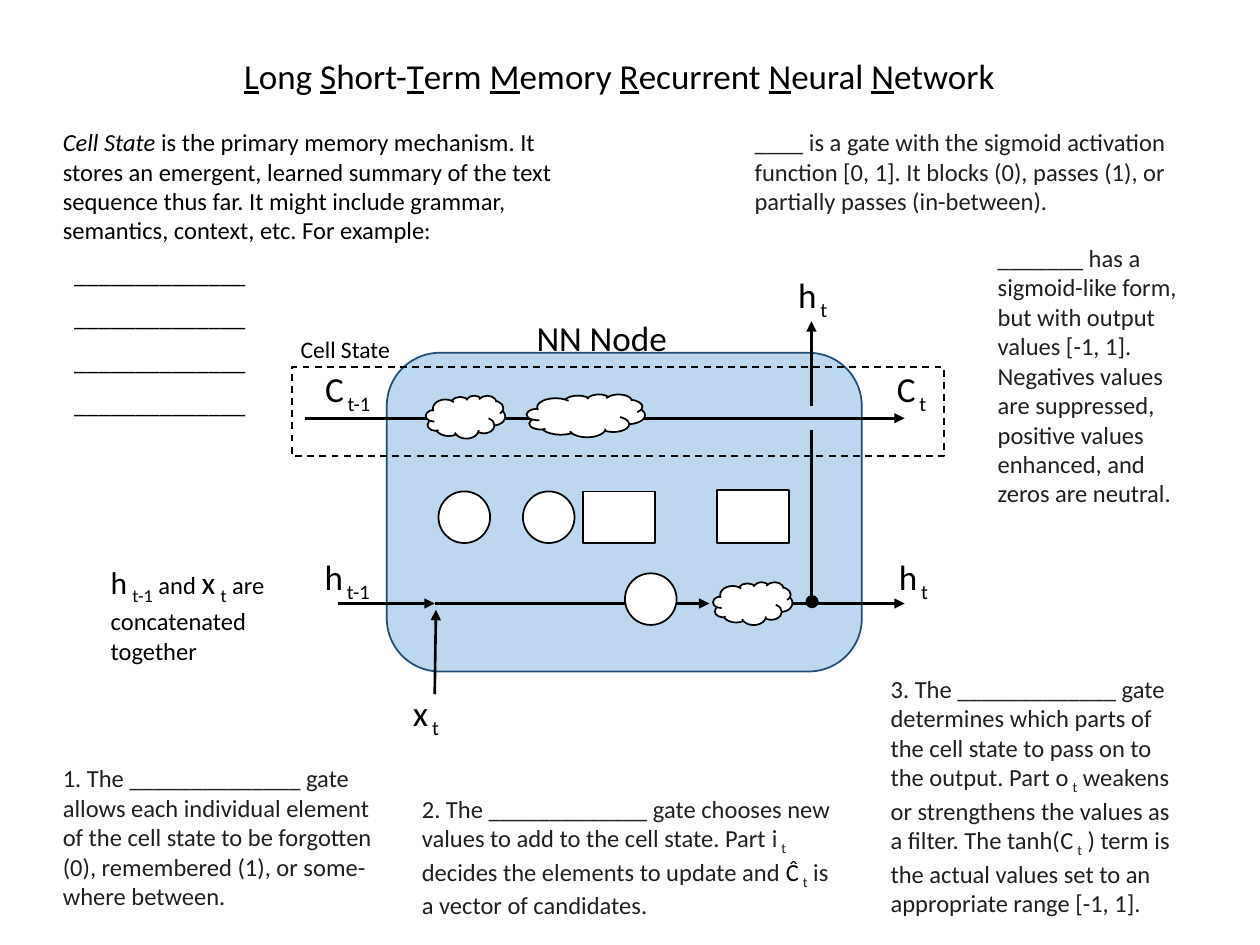
from dataclasses import dataclass

from lxml.etree import SubElement
from pptx import Presentation
from pptx.dml.color import RGBColor
from pptx.enum.dml import MSO_LINE
from pptx.enum.shapes import MSO_CONNECTOR, MSO_SHAPE
from pptx.enum.text import MSO_AUTO_SIZE, PP_ALIGN
from pptx.oxml.ns import qn
from pptx.util import Inches, Pt


@dataclass(frozen=True)
class Theme:
    font: str = "Calibri"
    black: str = "000000"
    note: str = "1F1F1F"
    white: str = "FFFFFF"
    node: str = "BDD7EE"
    node_edge: str = "1F4E79"
    title_size: float = 20
    symbol_size: float = 20.1
    inline_size: float = 18
    body_size: float = 14
    caption_size: float = 13.5
    thin: float = 1
    thick: float = 1.5


THEME = Theme()

# Span formats
UNDERLINE = {"underline": True}
ITALIC = {"italic": True}
SYMBOL = {"spacing": 2.2}
SUB = {"baseline": -25}
LARGE = {"size": THEME.inline_size, "spacing": 3}
LARGE_SUB = {"size": THEME.inline_size, "baseline": -25}

# Content: a paragraph is a list of (text, span format)
TITLE_WORDS = ["Long ", "Short-", "Term ", "Memory ", "Recurrent ", "Neural ", "Network"]
CELL_STATE = [
    ("Cell State", ITALIC),
    (" is the primary memory mechanism. It stores an emergent, learned summary of the text "
     "sequence thus far. It might include grammar, semantics, context, etc. For example:", {}),
]
BLANK_LINE = [("______________", {})]
BLANK_COUNT = 4
CONCATENATION = [
    ("h", LARGE), ("t-1", LARGE_SUB), (" and ", {}), ("x", LARGE), ("t", LARGE_SUB),
    (" are concatenated together", {}),
]

# Notes: left, top, width, height, spans
NOTES = [
    (5.89, 0.96, 3.59, 0.81, [
        ("____ is a gate with the sigmoid activation function [0, 1]. It blocks (0), "
         "passes (1), or partially passes (in-between).", {})]),
    (7.82, 1.88, 1.63, 2.22, [
        ("_______ has a sigmoid-like form, but with output values [-1, 1]. Negatives values "
         "are suppressed, positive values enhanced, and zeros are neutral.", {})]),
    (0.4, 6.01, 2.82, 1.28, [
        ("1. The ______________ gate allows each individual element of the cell state to be "
         "forgotten (0), remembered (1), or some-where between.", {})]),
    (3.25, 6.25, 3.56, 1.04, [
        ("2. The _____________ gate chooses new values to add to the cell state. Part ", {}),
        ("i", SYMBOL), ("t", SUB), (" decides the elements to update and ", {}),
        ("Ĉ", {"spacing": 2.2, "color": THEME.black}), ("t", SUB),
        (" is a vector of candidates.", {})]),
    (6.97, 5.3, 2.51, 1.99, [
        ("3. The _____________ gate determines which parts of the cell state to pass on to "
         "the output. Part ", {}),
        ("o", SYMBOL), ("t", SUB),
        (" weakens or strengthens the values as a filter. The tanh(", {}),
        ("C", SYMBOL), ("t", SUB),
        (" ) term is the actual values set to an appropriate range [-1, 1].", {})]),
]

# Symbols: letter, subscript, left, top, width
SYMBOLS = [
    ("C", "t-1", 2.46, 2.87, 0.6), ("C", "t", 7.01, 2.87, 0.45),
    ("h", "t-1", 2.46, 4.36, 0.59), ("h", "t", 7.03, 4.36, 0.44),
    ("h", "t", 6.23, 2.12, 0.44), ("x", "t", 3.17, 5.44, 0.42),
]
LABEL_HEIGHT = 0.44

# Flow lines: x1, y1, x2, y2, arrowhead
STATE_Y, HIDDEN_Y = 3.32, 4.79
JOIN_X, BRANCH_X, OUT_X = 3.45, 6.44, 7.18
FLOWS = [
    (2.42, STATE_Y, OUT_X, STATE_Y, True),
    (2.68, HIDDEN_Y, JOIN_X, HIDDEN_Y, True),
    (JOIN_X, HIDDEN_Y, 5.63, HIDDEN_Y, True),
    (JOIN_X, 5.51, 3.46, 4.84, True),
    (6.03, HIDDEN_Y, OUT_X, HIDDEN_Y, True),
    (BRANCH_X, HIDDEN_Y, BRANCH_X, 3.41, False),
    (BRANCH_X, 3.22, BRANCH_X, 2.55, True),
]

# Blanks to fill in: left, top, width, height
CLOUDS = [(3.38, 3.14, 0.63, 0.34), (4.18, 3.13, 0.94, 0.34), (5.66, 4.62, 0.63, 0.34)]
CIRCLE_SIZE = 0.41
CIRCLES = [(left, top, CIRCLE_SIZE, CIRCLE_SIZE)
           for left, top in [(3.48, 3.9), (4.15, 3.9), (4.96, 4.55)]]
RECTANGLES = [(4.63, 3.9, 0.57, 0.41), (5.69, 3.89, 0.57, 0.42)]


def rgb(color):
    return RGBColor.from_string(color)


def add_text(page, place, paragraphs, size=THEME.body_size, color=THEME.black,
             centered=False, space_before=0, indent=0):
    """Add a text box; the indent applies to every paragraph after the first."""
    box = page.shapes.add_textbox(*map(Inches, place))
    frame = box.text_frame
    frame.word_wrap = not centered
    frame.auto_size = MSO_AUTO_SIZE.SHAPE_TO_FIT_TEXT
    for index, spans in enumerate(paragraphs):
        para = frame.paragraphs[0] if index == 0 else frame.add_paragraph()
        para.alignment = PP_ALIGN.CENTER if centered else PP_ALIGN.LEFT
        if index:
            para.space_before = Pt(space_before)
            para._p.get_or_add_pPr().set("marL", str(Inches(indent)))
        for text, style in spans:
            span = para.add_run()
            span.text = text
            font = span.font
            font.name = THEME.font
            font.size = Pt(style.get("size", size))
            font.color.rgb = rgb(style.get("color", color))
            font.italic = style.get("italic")
            font.underline = style.get("underline")
            properties = span._r.get_or_add_rPr()
            if "spacing" in style:
                properties.set("spc", str(round(style["spacing"] * 100)))
            if "baseline" in style:
                properties.set("baseline", str(style["baseline"] * 1000))
    return box


def add_part(page, kind, place, fill=THEME.white, line=THEME.black, dash=None):
    part = page.shapes.add_shape(kind, *map(Inches, place))
    part.shadow.inherit = False
    if fill:
        part.fill.solid()
        part.fill.fore_color.rgb = rgb(fill)
    else:
        part.fill.background()
    part.line.color.rgb = rgb(line)
    part.line.width = Pt(THEME.thin)
    if dash:
        part.line.dash_style = dash


def add_flow(page, x1, y1, x2, y2, arrow):
    flow = page.shapes.add_connector(MSO_CONNECTOR.STRAIGHT, *map(Inches, (x1, y1, x2, y2)))
    flow.line.color.rgb = rgb(THEME.black)
    flow.line.width = Pt(THEME.thick)
    if arrow:
        SubElement(flow.line._get_or_add_ln(), qn("a:tailEnd"), type="triangle")
    SubElement(flow._element.spPr, qn("a:effectLst"))


def main():
    deck = Presentation()
    deck.slide_width, deck.slide_height = Inches(10), Inches(7.5)
    page = deck.slides.add_slide(deck.slide_layouts[6])

    # Node and cell state band
    add_part(page, MSO_SHAPE.ROUNDED_RECTANGLE, (3.07, 2.8, 3.77, 2.53),
             fill=THEME.node, line=THEME.node_edge)
    add_part(page, MSO_SHAPE.RECTANGLE, (2.32, 2.91, 5.17, 0.71), fill=None, dash=MSO_LINE.DASH)

    # Flow lines, then the blanks that lie over them
    for flow in FLOWS:
        add_flow(page, *flow)
    add_part(page, MSO_SHAPE.OVAL, (6.4, 4.73, 0.09, 0.09), fill=THEME.black)
    for kind, places in [(MSO_SHAPE.CLOUD, CLOUDS), (MSO_SHAPE.OVAL, CIRCLES),
                         (MSO_SHAPE.RECTANGLE, RECTANGLES)]:
        for place in places:
            add_part(page, kind, place)

    # Title and diagram labels
    title = [span for word in TITLE_WORDS for span in ((word[0], UNDERLINE), (word[1:], {}))]
    add_text(page, (1.82, 0.38, 6.19, LABEL_HEIGHT), [title],
             size=THEME.title_size, centered=True)
    add_text(page, (4.15, 2.46, 1.25, LABEL_HEIGHT), [[("NN Node", {})]],
             size=THEME.symbol_size, centered=True)
    add_text(page, (2.28, 2.61, 0.92, 0.33), [[("Cell State", {})]],
             size=THEME.caption_size, centered=True)
    for letter, subscript, left, top, width in SYMBOLS:
        add_text(page, (left, top, width, LABEL_HEIGHT), [[(letter, SYMBOL), (subscript, SUB)]],
                 size=THEME.symbol_size, centered=True)

    # Explanations
    add_text(page, (0.4, 0.96, 4.38, 2.43), [CELL_STATE] + [BLANK_LINE] * BLANK_COUNT,
             space_before=8, indent=0.09)
    add_text(page, (0.78, 4.42, 1.49, 0.88), [CONCATENATION])
    for *place, spans in NOTES:
        add_text(page, place, [spans], color=THEME.note)

    deck.save("out.pptx")


if __name__ == "__main__":
    main()
